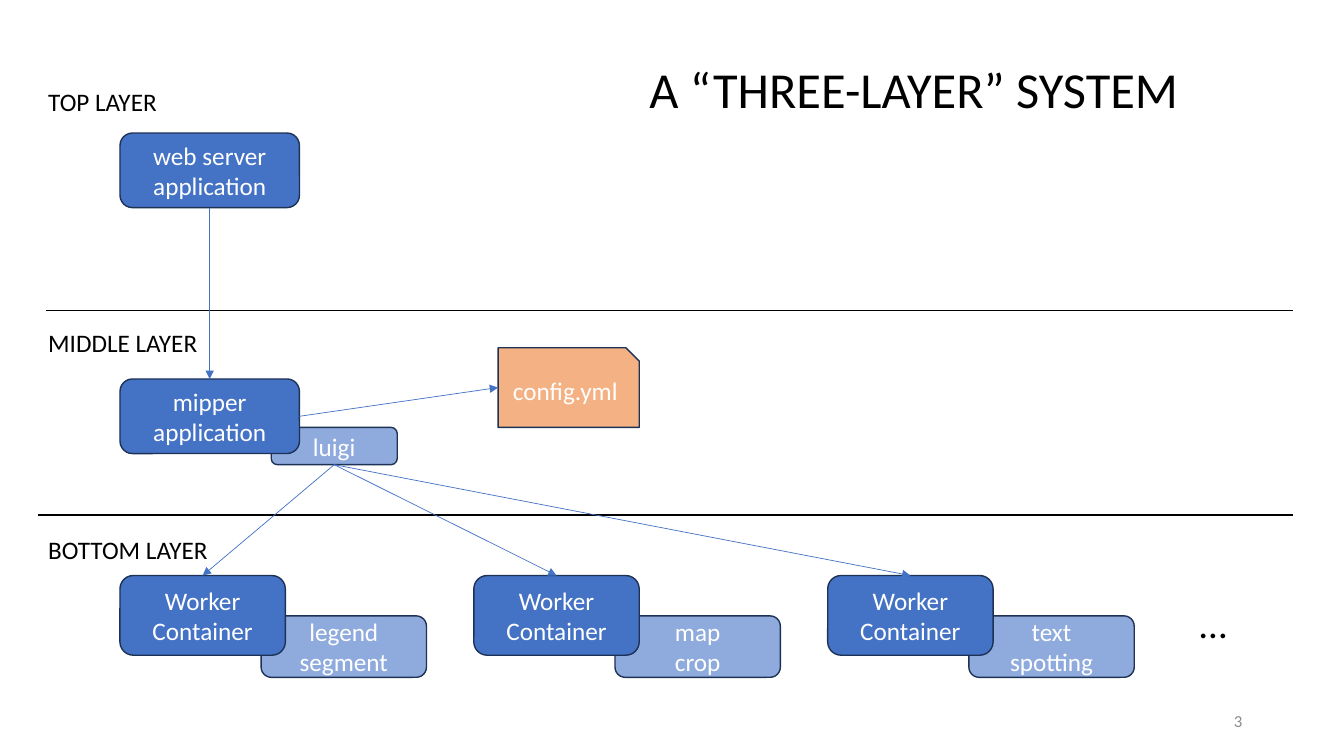
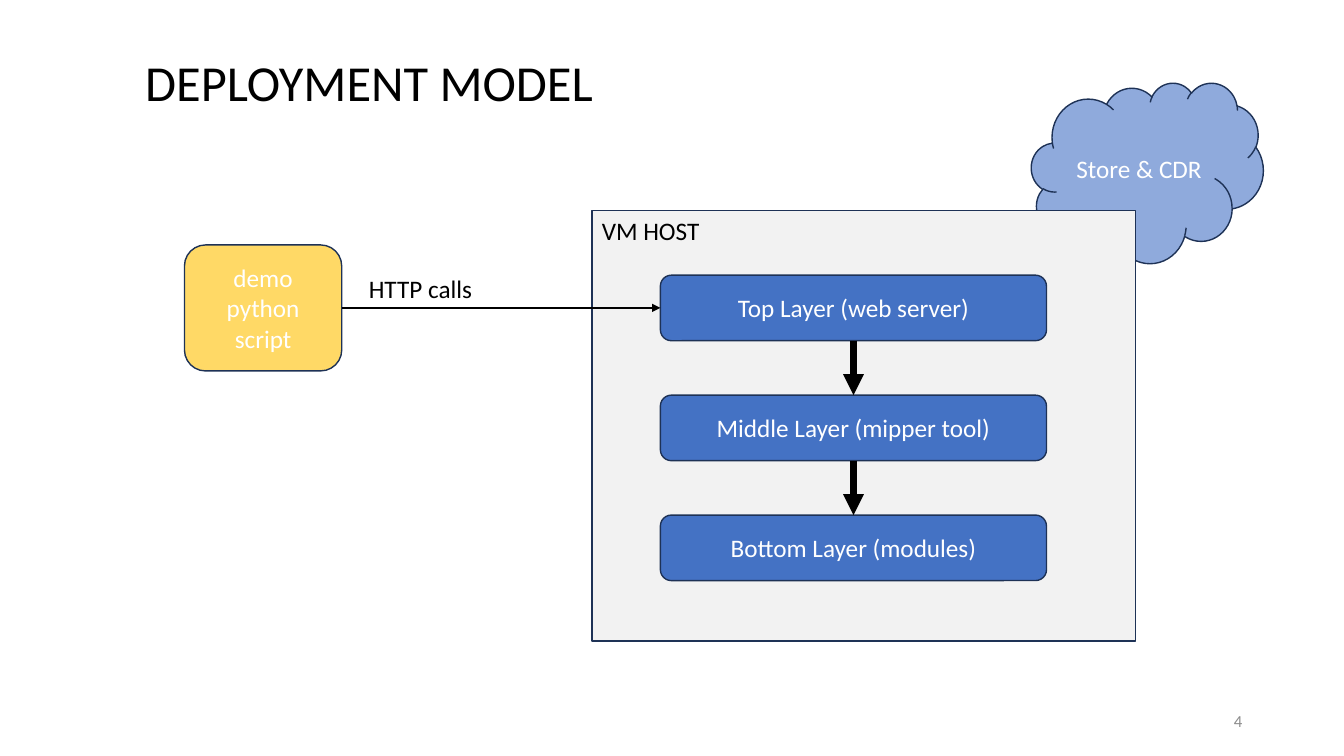
from dataclasses import dataclass
from enum import IntEnum
from itertools import pairwise

from lxml.etree import SubElement
from pptx import Presentation
from pptx.dml.color import RGBColor
from pptx.enum.shapes import MSO_CONNECTOR, MSO_SHAPE
from pptx.enum.text import MSO_ANCHOR, MSO_AUTO_SIZE, PP_ALIGN
from pptx.oxml.ns import qn
from pptx.shapes.autoshape import Shape
from pptx.shapes.connector import Connector
from pptx.slide import Slide
from pptx.text.text import TextFrame
from pptx.util import Inches, Pt

FONT = "Calibri"
BLACK = "000000"
WHITE = "FFFFFF"
BLUE = "4472C4"
LIGHT_BLUE = "8FAADC"
ORANGE = "F4B183"
YELLOW = "FFD966"
PALE_GRAY = "F2F2F2"
NUMBER_GRAY = "8C8C8C"
OUTLINE = "1E3256"

TITLE_ONLY = 5
BODY_SIZE = 18
LABEL_LEFT = 0.38
LABEL_HEIGHT = 0.4
DIVIDER_RIGHT = 12.82


class Side(IntEnum):
    """Sides of a box, numbered like its connection sites."""

    TOP = 0
    LEFT = 1
    BOTTOM = 2
    RIGHT = 3


@dataclass(frozen=True)
class Box:
    left: float
    top: float
    width: float
    height: float

    def lengths(self) -> tuple[Inches, Inches, Inches, Inches]:
        return (Inches(self.left), Inches(self.top),
                Inches(self.width), Inches(self.height))

    def midpoint(self, side: Side) -> tuple[float, float]:
        center = self.left + self.width / 2
        middle = self.top + self.height / 2
        return {
            Side.TOP: (center, self.top),
            Side.LEFT: (self.left, middle),
            Side.BOTTOM: (center, self.top + self.height),
            Side.RIGHT: (self.left + self.width, middle),
        }[side]


@dataclass(frozen=True)
class Node:
    text: str
    box: Box
    fill: str = BLUE
    geometry: MSO_SHAPE = MSO_SHAPE.ROUNDED_RECTANGLE
    text_color: str = WHITE
    alignment: PP_ALIGN = PP_ALIGN.CENTER
    anchor: MSO_ANCHOR = MSO_ANCHOR.MIDDLE


@dataclass(frozen=True)
class DrawnNode:
    node: Node
    shape: Shape


def rgb(color: str) -> RGBColor:
    return RGBColor.from_string(color)


def format_paragraphs(frame: TextFrame, size: float, color: str,
                      alignment: PP_ALIGN) -> None:
    for paragraph in frame.paragraphs:
        paragraph.alignment = alignment
        paragraph.font.name = FONT
        paragraph.font.size = Pt(size)
        paragraph.font.color.rgb = rgb(color)


def fit_single_line(frame: TextFrame) -> None:
    frame.word_wrap = False
    frame.auto_size = MSO_AUTO_SIZE.SHAPE_TO_FIT_TEXT
    frame.vertical_anchor = MSO_ANCHOR.TOP


def draw_label(slide: Slide, text: str, box: Box, size: float = BODY_SIZE) -> None:
    frame = slide.shapes.add_textbox(*box.lengths()).text_frame
    frame.text = text
    fit_single_line(frame)
    format_paragraphs(frame, size, BLACK, PP_ALIGN.LEFT)


def draw_slide_number(slide: Slide, number: int) -> None:
    box = Box(9.42, 6.95, 3, 0.4)
    frame = slide.shapes.add_textbox(*box.lengths()).text_frame
    frame.text = str(number)
    frame.word_wrap = True
    frame.vertical_anchor = MSO_ANCHOR.MIDDLE
    format_paragraphs(frame, 12, NUMBER_GRAY, PP_ALIGN.RIGHT)


def add_titled_slide(presentation: Presentation, title: str, box: Box,
                     number: int) -> Slide:
    slide = presentation.slides.add_slide(presentation.slide_layouts[TITLE_ONLY])
    shape = slide.shapes.title
    shape.left, shape.top, shape.width, shape.height = box.lengths()
    shape.text_frame.text = title
    fit_single_line(shape.text_frame)
    format_paragraphs(shape.text_frame, 36, BLACK, PP_ALIGN.LEFT)
    draw_slide_number(slide, number)
    return slide


def draw_node(slide: Slide, node: Node) -> DrawnNode:
    shape = slide.shapes.add_shape(node.geometry, *node.box.lengths())
    shape.shadow.inherit = False
    shape.fill.solid()
    shape.fill.fore_color.rgb = rgb(node.fill)
    shape.line.color.rgb = rgb(OUTLINE)
    shape.line.width = Pt(1)
    frame = shape.text_frame
    frame.text = node.text
    frame.word_wrap = True
    frame.vertical_anchor = node.anchor
    format_paragraphs(frame, BODY_SIZE, node.text_color, node.alignment)
    return DrawnNode(node, shape)


def draw_line(slide: Slide, start: tuple[float, float], end: tuple[float, float],
              color: str = BLACK, width: float = 1) -> Connector:
    points = [Inches(value) for value in (*start, *end)]
    connector = slide.shapes.add_connector(MSO_CONNECTOR.STRAIGHT, *points)
    connector.line.color.rgb = rgb(color)
    connector.line.width = Pt(width)
    SubElement(connector.element.spPr, qn("a:effectLst"))
    return connector


def draw_arrow(slide: Slide, source: DrawnNode, source_side: Side,
               target: DrawnNode, target_side: Side,
               color: str = BLUE, width: float = 0.5) -> None:
    """Join two nodes; only rounded boxes number their sites like Side."""
    connector = draw_line(slide, source.node.box.midpoint(source_side),
                          target.node.box.midpoint(target_side), color, width)
    connector.begin_connect(source.shape, source_side)
    if target.node.geometry == MSO_SHAPE.ROUNDED_RECTANGLE:
        connector.end_connect(target.shape, target_side)
    outline = connector.element.spPr.find(qn("a:ln"))
    SubElement(outline, qn("a:tailEnd"), type="triangle")


def build_layer_slide(presentation: Presentation) -> None:
    slide = add_titled_slide(presentation, "A “THREE-LAYER” SYSTEM",
                             Box(6.34, 0.53, 5.5, 0.71), 3)
    for left, top in ((0.46, 3.08), (0.38, 5.11)):
        draw_line(slide, (left, top), (DIVIDER_RIGHT, top))

    luigi = draw_node(slide, Node("luigi", Box(2.69, 4.24, 1.25, 0.37), LIGHT_BLUE))
    web_server = draw_node(
        slide, Node("web server\napplication", Box(1.19, 1.32, 1.78, 0.74)))
    mipper = draw_node(
        slide, Node("mipper application", Box(1.19, 3.76, 1.78, 0.74)))
    config = draw_node(slide, Node("config.yml", Box(4.94, 3.45, 1.4, 0.79), ORANGE,
                                   MSO_SHAPE.SNIP_1_RECTANGLE))
    draw_arrow(slide, web_server, Side.BOTTOM, mipper, Side.TOP)
    draw_arrow(slide, mipper, Side.RIGHT, config, Side.LEFT)

    for index, module in enumerate(("legend\nsegment", "map\ncrop", "text\nspotting")):
        left = 1.19 + 3.51 * index
        draw_node(slide, Node(module, Box(left + 1.4, 6.11, 1.64, 0.61), LIGHT_BLUE))
        container = draw_node(
            slide, Node("Worker Container", Box(left, 5.71, 1.64, 0.79)))
        draw_arrow(slide, luigi, Side.BOTTOM, container, Side.TOP)

    for text, top, width in (("TOP LAYER", 0.81, 1.29),
                             ("MIDDLE LAYER", 3.2, 1.7),
                             ("BOTTOM LAYER", 5.25, 1.8)):
        draw_label(slide, text, Box(LABEL_LEFT, top, width, LABEL_HEIGHT))
    draw_label(slide, "…", Box(11.8, 5.9, 0.47, 0.57), 28)


def build_deployment_slide(presentation: Presentation) -> None:
    slide = add_titled_slide(presentation, "DEPLOYMENT MODEL",
                             Box(1.34, 0.46, 4.69, 0.71), 4)
    draw_node(slide, Node("Store & CDR", Box(10.23, 0.82, 2.3, 1.79), LIGHT_BLUE,
                          MSO_SHAPE.CLOUD))
    draw_node(slide, Node("VM HOST", Box(5.87, 2.09, 5.39, 4.27), PALE_GRAY,
                          MSO_SHAPE.RECTANGLE, BLACK, PP_ALIGN.LEFT, MSO_ANCHOR.TOP))

    names = ("Top Layer (web server)", "Middle Layer (mipper tool)",
             "Bottom Layer (modules)")
    layers = [draw_node(slide, Node(name, Box(6.55, 2.73 + 1.19 * index, 3.83, 0.65)))
              for index, name in enumerate(names)]
    for upper, lower in pairwise(layers):
        draw_arrow(slide, upper, Side.BOTTOM, lower, Side.TOP, BLACK, 5)

    script = draw_node(
        slide, Node("demo python script", Box(1.83, 2.43, 1.56, 1.25), YELLOW))
    draw_arrow(slide, script, Side.RIGHT, layers[0], Side.LEFT, BLACK, 1)
    draw_label(slide, "HTTP calls", Box(3.56, 2.66, 1.24, LABEL_HEIGHT))


def main() -> None:
    presentation = Presentation()
    presentation.slide_width = Inches(13.33)
    presentation.slide_height = Inches(7.5)
    build_layer_slide(presentation)
    build_deployment_slide(presentation)
    presentation.save("out.pptx")


if __name__ == "__main__":
    main()
